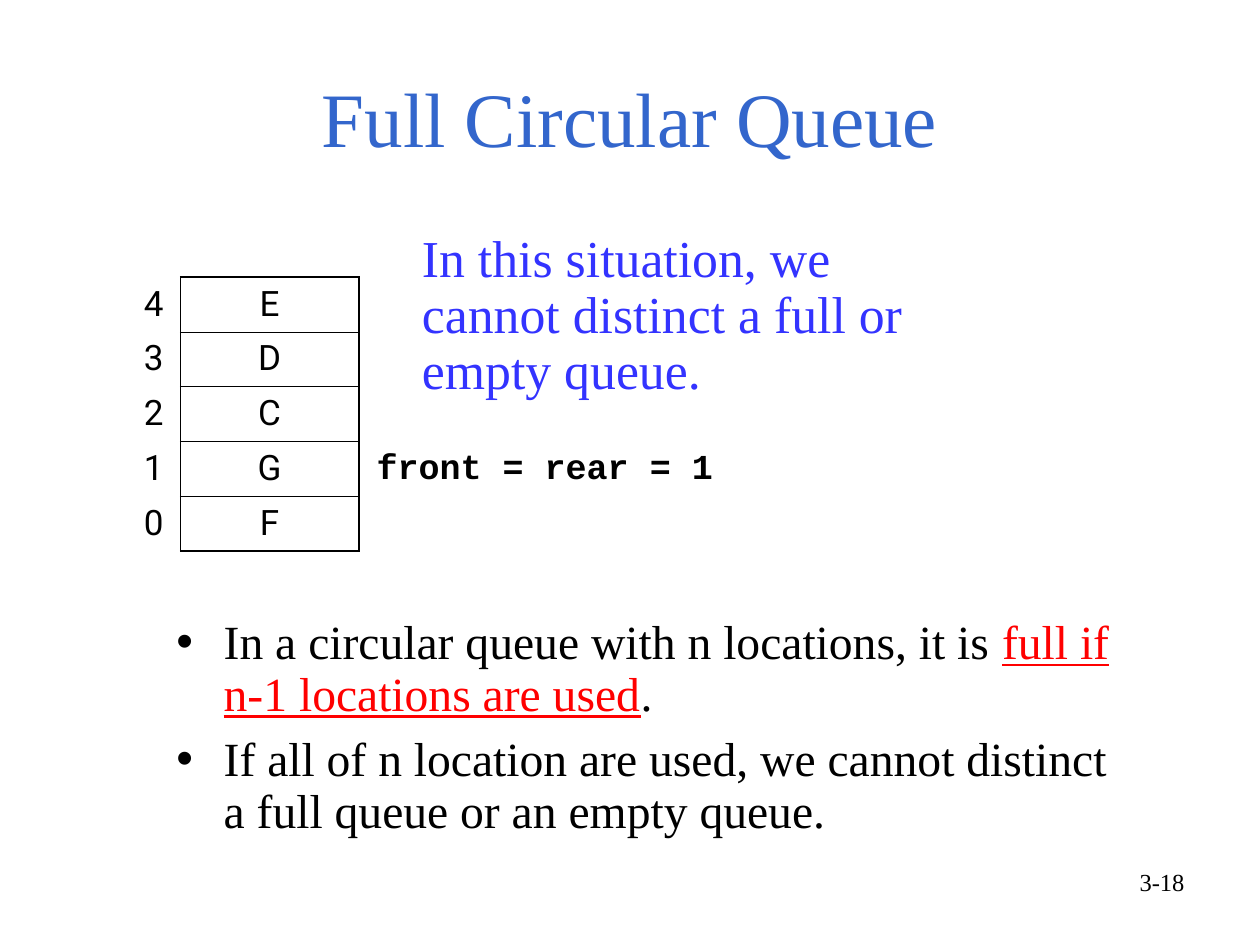
from lxml import etree
from pptx import Presentation
from pptx.dml.color import RGBColor
from pptx.enum.text import MSO_AUTO_SIZE, PP_ALIGN
from pptx.oxml.ns import qn
from pptx.util import Inches, Pt

LEFT, CENTER, RIGHT = PP_ALIGN.LEFT, PP_ALIGN.CENTER, PP_ALIGN.RIGHT
NO_FIT = MSO_AUTO_SIZE.NONE

COLORS = {"title": "3366CC", "note": "3333FF", "key": "FF0000", "ink": "000000"}
SERIF, SANS, MONO = "Times New Roman", "Roboto", "Courier New"
NO_STYLE = "{2D5ABB26-0587-4C30-8999-92F81FD0307C}"
THIN, THICK = 0.45, 1.08

TITLE = "Full Circular Queue"
QUEUE = [("4", "E"), ("3", "D"), ("2", "C"), ("1", "G"), ("0", "F")]
COLS, ROW = (0.42, 1.42), 0.435
POINTS = [
    [("In a circular queue with n locations, it is ", "ink"),
     ("full if n-1 locations are used", "key"), (".", "ink")],
    [("If all of n location are used, we cannot distinct "
      "a full queue or an empty queue.", "ink")],
]
# text, box, font, size, color, bold, alignment, line spacing, wrap
LABELS = [
    ("front = rear = 1", (2.89, 3.48, 2.87, 0.44), MONO, 20, "ink", True, LEFT, 1.0, False),
    ("In this situation, we cannot distinct a full or empty queue.",
     (3.25, 1.8, 4.19, 1.68), SERIF, 29.6, "note", False, LEFT, 0.9, True),
    ("3-18", (7.17, 6.83, 2.33, 0.52), SERIF, 14, "ink", False, RIGHT, 1.0, True),
]


def style(run, face, size, color, bold=False):
    font = run.font
    font.name, font.size, font.bold = face, Pt(size), bold
    font.color.rgb = RGBColor.from_string(COLORS[color])


def place(shape, box):
    shape.left, shape.top, shape.width, shape.height = map(Inches, box)


def edge(cell, side, width):
    props = cell._tc.get_or_add_tcPr()
    line = etree.SubElement(props, qn("a:ln" + side), w=str(Pt(width)))
    fill = etree.SubElement(line, qn("a:solidFill"))
    etree.SubElement(fill, qn("a:srgbClr"), val=COLORS["ink"])


def add_queue(slide):
    rows = len(QUEUE)
    frame = slide.shapes.add_table(rows, 2, Inches(1.01), Inches(2.2),
                                   Inches(sum(COLS)), Inches(ROW * rows))
    table = frame.table
    table.first_row = table.horz_banding = False
    table._tbl.tblPr.find(qn("a:tableStyleId")).text = NO_STYLE
    for col, width in zip(table.columns, COLS):
        col.width = Inches(width)
    for r, pair in enumerate(QUEUE):
        table.rows[r].height = Inches(ROW)
        for c, text in enumerate(pair):
            cell = table.cell(r, c)
            cell.text = text
            para = cell.text_frame.paragraphs[0]
            para.alignment = CENTER
            style(para.runs[0], SANS, 20, "ink")
            if c == 0:
                edge(cell, "R", THIN)
            else:
                edge(cell, "L", THIN)
                edge(cell, "R", THICK)
                edge(cell, "T", THICK if r == 0 else THIN)
                edge(cell, "B", THICK if r == rows - 1 else THIN)
            cell.fill.background()


def add_points(body):
    place(body, (1.3, 4.86, 7.64, 2.14))
    frame = body.text_frame
    frame.auto_size = NO_FIT
    for i, parts in enumerate(POINTS):
        para = frame.add_paragraph() if i else frame.paragraphs[0]
        para.line_spacing = 0.9
        para.space_before = Pt(8 if i else 0)
        for text, color in parts:
            run = para.add_run()
            run.text = text
            style(run, SERIF, 27.2, color)
            run.font.underline = color == "key"


def add_label(slide, text, box, face, size, color, bold, align, spacing, wrap):
    frame = slide.shapes.add_textbox(*map(Inches, box)).text_frame
    frame.word_wrap = wrap
    frame.text = text
    para = frame.paragraphs[0]
    para.alignment, para.line_spacing = align, spacing
    style(para.runs[0], face, size, color, bold)


def main():
    deck = Presentation()
    deck.slide_width, deck.slide_height = Inches(10), Inches(7.5)
    slide = deck.slides.add_slide(deck.slide_layouts[1])
    title = slide.shapes.title
    place(title, (0.5, 0.3, 9, 1.25))
    title.text_frame.text = TITLE
    style(title.text_frame.paragraphs[0].runs[0], SERIF, 44, "title")
    add_queue(slide)
    add_points(slide.placeholders[1])
    for label in LABELS:
        add_label(slide, *label)
    deck.save("out.pptx")


if __name__ == "__main__":
    main()
